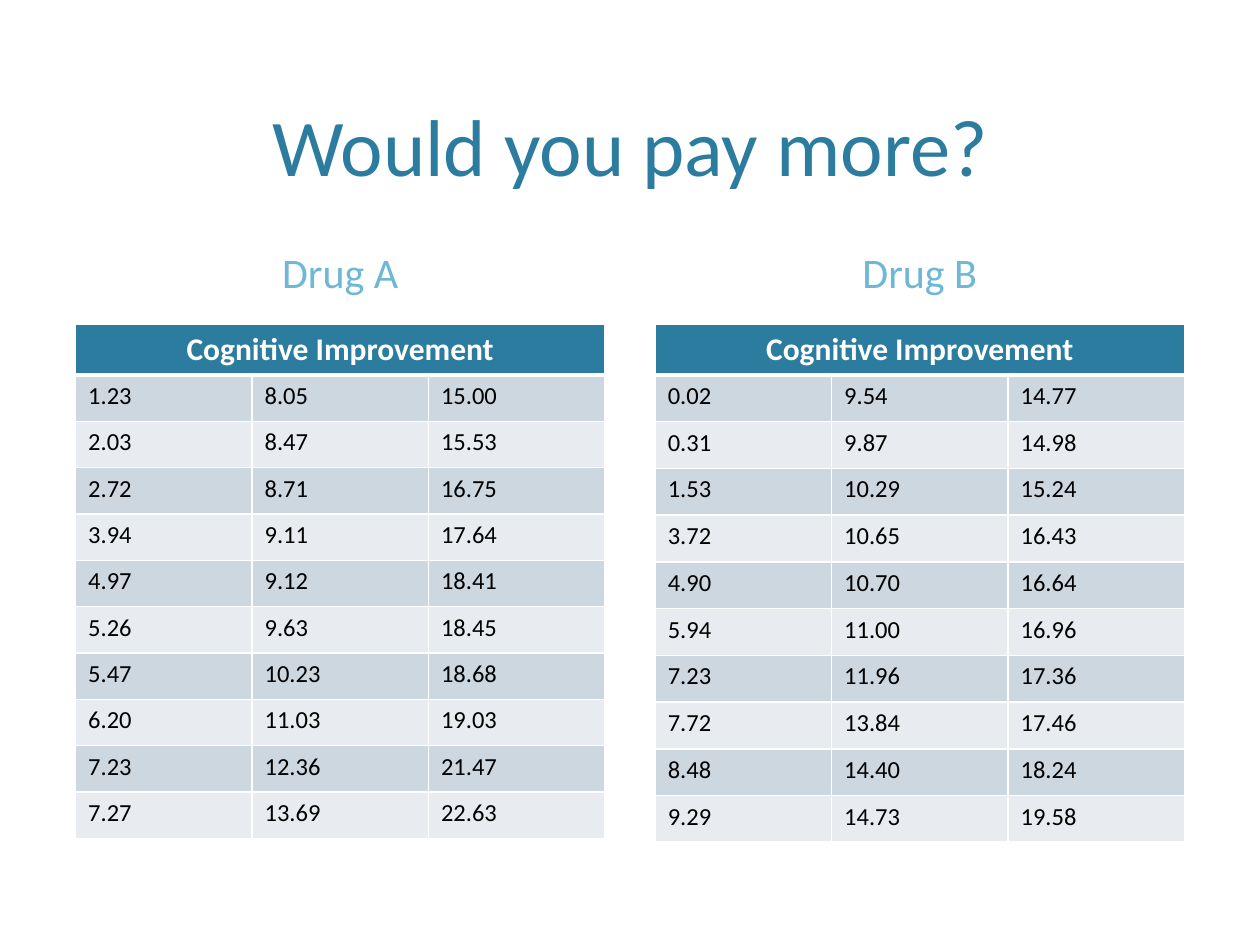
"""Build a slide that compares the cognitive improvement scores of two drugs."""
import pptx
import pptx.dml.color
import pptx.enum.text
import pptx.oxml
import pptx.oxml.ns
import pptx.util
from pptx.util import Inches

COLORS = {
    "title": "2C7C9F",
    "label": "6FB7D7",
    "header": "2C7C9F",
    "odd": "CDD7DF",
    "even": "E8ECF0",
    "white": "FFFFFF",
    "text": "000000",
}
FORMATS = {
    "title": {"size": 46, "bold": False, "color": "title"},
    "label": {"size": 24, "bold": False, "color": "label"},
    "header": {"size": 18, "bold": True, "color": "white"},
    "value": {"size": 14, "bold": False, "color": "text"},
}
CENTER = pptx.enum.text.PP_ALIGN.CENTER
LEFT = pptx.enum.text.PP_ALIGN.LEFT
COLUMN_WIDTH = 4.2
HEADER_HEIGHT = 0.4
DRUGS = [
    {
        "name": "Drug A", "left": 0.6, "height": 4.08, "label": 1,
        "columns": [
            "1.23 2.03 2.72 3.94 4.97 5.26 5.47 6.20 7.23 7.27",
            "8.05 8.47 8.71 9.11 9.12 9.63 10.23 11.03 12.36 13.69",
            "15.00 15.53 16.75 17.64 18.41 18.45 18.68 19.03 21.47 22.63",
        ],
    },
    {
        "name": "Drug B", "left": 5.2, "height": 4.11, "label": 3,
        "columns": [
            "0.02 0.31 1.53 3.72 4.90 5.94 7.23 7.72 8.48 9.29",
            "9.54 9.87 10.29 10.65 10.70 11.00 11.96 13.84 14.40 14.73",
            "14.77 14.98 15.24 16.43 16.64 16.96 17.36 17.46 18.24 19.58",
        ],
    },
]


def rgb(name):
    """Return the named colour."""
    return pptx.dml.color.RGBColor.from_string(COLORS[name])


def write(tf, text, style, align):
    """Write one formatted paragraph into a text frame."""
    p = tf.paragraphs[0]
    p.alignment = align
    r = p.add_run()
    r.text = text
    fmt = FORMATS[style]
    values = {"name": "Calibri", "size": pptx.util.Pt(fmt["size"]), "bold": fmt["bold"]}
    for key, value in values.items():
        setattr(r.font, key, value)
    r.font.color.rgb = rgb(fmt["color"])


def fill_placeholder(sp, text, style, box):
    """Move a placeholder and write centred text at its bottom."""
    for key, value in zip(("left", "top", "width", "height"), box):
        setattr(sp, key, Inches(value))
    tf = sp.text_frame
    frame = {
        "word_wrap": True,
        "auto_size": pptx.enum.text.MSO_AUTO_SIZE.NONE,
        "vertical_anchor": pptx.enum.text.MSO_ANCHOR.BOTTOM,
    }
    for key, value in frame.items():
        setattr(tf, key, value)
    write(tf, text, style, CENTER)


def format_cell(cell, fill, top, bottom):
    """Give a cell white borders and a solid fill."""
    tc_pr = cell._tc.get_or_add_tcPr()
    for side, width in {"L": 1, "R": 1, "T": top, "B": bottom}.items():
        tc_pr.append(pptx.oxml.parse_xml(
            f'<a:ln{side} {pptx.oxml.ns.nsdecls("a")} w="{pptx.util.Pt(width)}">'
            f'<a:solidFill><a:srgbClr val="{COLORS["white"]}"/></a:solidFill></a:ln{side}>'))
    cell.fill.solid()
    cell.fill.fore_color.rgb = rgb(fill)


def add_scores(s, drug):
    """Add the score table of one drug."""
    rows = list(zip(*(column.split() for column in drug["columns"])))
    cols = len(drug["columns"])
    table = s.shapes.add_table(
        len(rows) + 1, cols, Inches(drug["left"]), Inches(2.57),
        Inches(COLUMN_WIDTH), Inches(drug["height"])).table
    for column in table.columns:
        column.width = Inches(COLUMN_WIDTH / cols)
    for row in table.rows:
        row.height = Inches((drug["height"] - HEADER_HEIGHT) / len(rows))
    table.rows[0].height = Inches(HEADER_HEIGHT)
    for j in range(cols):
        format_cell(table.cell(0, j), "header", 1, 3)
    table.cell(0, 0).merge(table.cell(0, cols - 1))
    write(table.cell(0, 0).text_frame, "Cognitive Improvement", "header", CENTER)
    for i, values in enumerate(rows, 1):
        for j, value in enumerate(values):
            cell = table.cell(i, j)
            format_cell(cell, "odd" if i % 2 else "even", 3 if i == 1 else 1, 1)
            write(cell.text_frame, value, "value", LEFT)


def main():
    """Build and save the slide."""
    prs = pptx.Presentation()
    prs.slide_width, prs.slide_height = Inches(10), Inches(7.5)
    s = prs.slides.add_slide(prs.slide_layouts.get_by_name("Comparison"))
    fill_placeholder(s.shapes.title, "Would you pay more?", "title", (0.6, 0.12, 8.8, 1.46))
    for drug in DRUGS:
        fill_placeholder(s.placeholders[drug["label"]], drug["name"], "label",
                         (drug["left"], 1.59, COLUMN_WIDTH, 0.82))
        add_scores(s, drug)
    for sp in list(s.placeholders):
        if not sp.text_frame.text:
            sp.element.getparent().remove(sp.element)
    prs.save("out.pptx")


if __name__ == "__main__":
    main()
